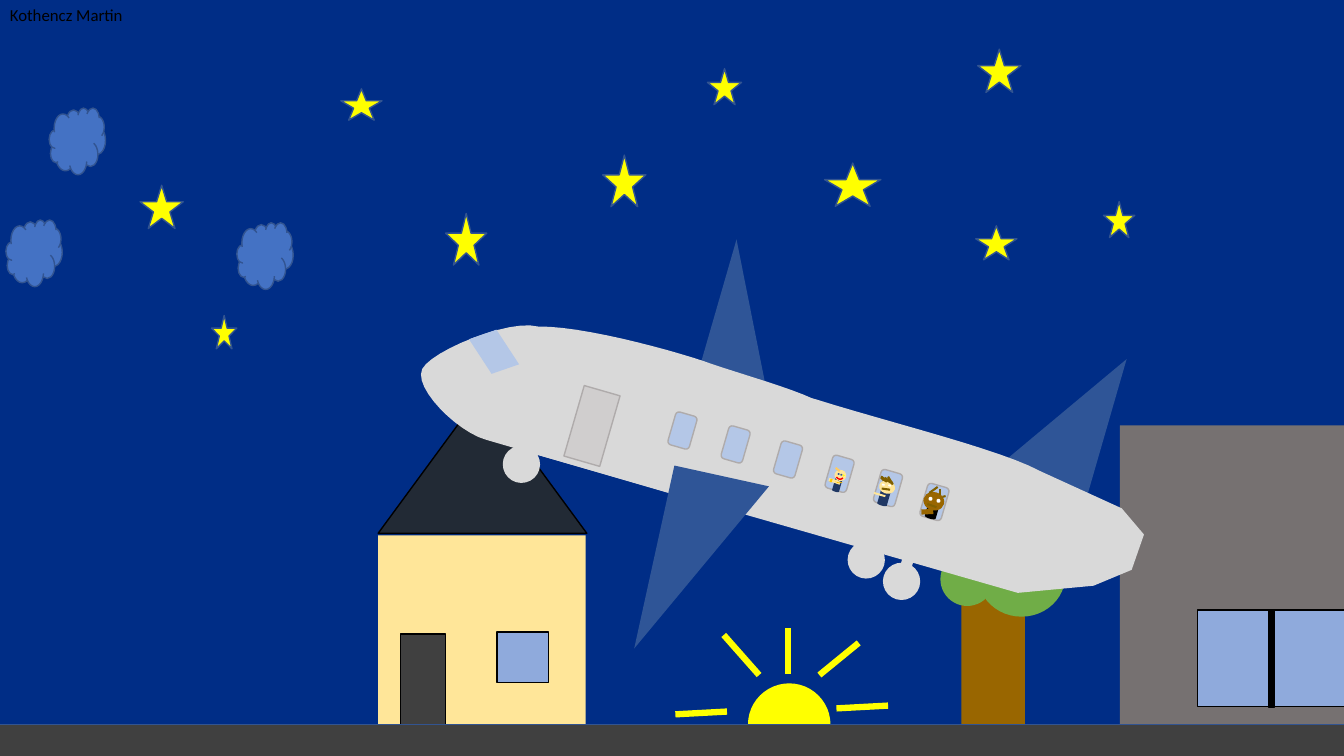
from dataclasses import dataclass
from lxml.etree import SubElement
from pptx import Presentation
from pptx.dml.color import RGBColor
from pptx.enum.shapes import MSO_CONNECTOR, MSO_SHAPE
from pptx.oxml.ns import qn
from pptx.util import Cm, Pt


@dataclass(frozen=True)
class Theme:
    font: str = "Calibri"
    text_size: float = 12
    outline: float = 1
    fine: float = 0.5
    hair: float = 1.5
    ray: float = 4.5
    sky: str = "002D86"
    black: str = "000000"
    white: str = "FFFFFF"
    yellow: str = "FFFF00"
    edge: str = "325491"
    cloud: str = "4472C4"
    concrete: str = "767171"
    glass: str = "8FAADC"
    trunk: str = "996600"
    leaf: str = "70AD47"
    plaster: str = "FFE699"
    asphalt: str = "404040"
    roof: str = "222A35"
    hull: str = "D9D9D9"
    wing: str = "2F5597"
    pane: str = "B4C7E7"
    door: str = "D0CECE"
    frame: str = "AFABAB"
    suit: str = "203864"
    skin: str = "FFE699"
    brown: str = "806000"
    blond: str = "FFCC66"
    gold: str = "FFC000"
    amber: str = "FFCC00"
    red: str = "FF0000"


T = Theme()
TILT = 16.1


def apply(obj, fmt):
    for name, value in fmt.items():
        setattr(obj, name, value)


def paint(sp, fill=None, line=None, width=T.outline):
    sp.shadow.inherit = False
    if fill:
        sp.fill.solid()
        sp.fill.fore_color.rgb = RGBColor.from_string(fill)
    else:
        sp.fill.background()
    if line:
        sp.line.color.rgb = RGBColor.from_string(line)
        sp.line.width = Pt(width)
    else:
        sp.line.fill.background()


def shape(s, box, kind, at, fill=None, line=None, width=T.outline, rot=0, flip=None):
    x, y, w, h = at
    sp = s.shapes.add_shape(getattr(MSO_SHAPE, kind), Cm(box[0] + x), Cm(box[1] + y), Cm(w), Cm(h))
    paint(sp, fill, line, width)
    sp.rotation = rot
    if flip:
        sp._element.spPr.find(qn("a:xfrm")).set(flip, "1")


def stroke(s, box, ends, color, width):
    x, y = box[:2]
    x1, y1, x2, y2 = ends
    cx = s.shapes.add_connector(
        MSO_CONNECTOR.STRAIGHT, Cm(x + x1), Cm(y + y1), Cm(x + x2), Cm(y + y2))
    cx.line.color.rgb = RGBColor.from_string(color)
    cx.line.width = Pt(width)
    SubElement(cx._element.spPr, qn("a:effectLst"))


def outline(s, box, start, segments, closed=True, **look):
    points, last = [], start
    for seg in segments:
        if len(seg) == 2:
            points.append(seg)
        else:
            ctrl = (last, seg[:2], seg[2:4], seg[4:])
            for t in (i / 12 for i in range(1, 13)):
                weights = ((1 - t) ** 3, 3 * t * (1 - t) ** 2, 3 * t * t * (1 - t), t ** 3)
                points.append(tuple(sum(k * c[a] for k, c in zip(weights, ctrl)) for a in (0, 1)))
        last = seg[-2:]
    place = lambda p: (Cm(box[0] + p[0]), Cm(box[1] + p[1]))
    fb = s.shapes.build_freeform(*place(start))
    fb.add_line_segments([place(p) for p in points], close=closed)
    paint(fb.convert_to_shape(), **look)


def author(s, box):
    tb = s.shapes.add_textbox(*(Cm(v) for v in box))
    tf = tb.text_frame
    tf.word_wrap = True
    r = tf.paragraphs[0].add_run()
    r.text = "Kothencz Martin"
    apply(r.font, {"name": T.font, "size": Pt(T.text_size)})
    r.font.color.rgb = RGBColor.from_string(T.black)


def night_sky(s, box):
    for at in ((3.53, 4.67, 1.09, 1.09), (8.59, 2.24, 1.04, 0.79), (15.19, 3.91, 1.09, 1.3),
               (20.78, 4.11, 1.42, 1.09), (17.83, 1.73, 0.86, 0.91), (24.64, 1.24, 1.09, 1.09),
               (24.59, 5.69, 1.04, 0.86), (11.23, 5.38, 1.04, 1.3), (27.81, 5.08, 0.79, 0.91),
               (5.33, 7.95, 0.64, 0.84)):
        shape(s, box, "STAR_5_POINT", at, T.yellow, T.edge)
    for x, y in ((0.15, 5.54), (1.24, 2.72), (5.97, 5.61)):
        shape(s, box, "CLOUD", (x, y, 1.42, 1.68), T.cloud, T.edge)


def terminal(s, box):
    shape(s, box, "RECTANGLE", (0, 0, *box[2:]), T.concrete)
    shape(s, box, "RECTANGLE", (1.96, 4.65, 3.78, 2.44), T.glass, T.black)
    shape(s, box, "RECTANGLE", (3.76, 4.67, 0.13, 2.44), T.black, T.black)


def tree(s, box):
    shape(s, box, "RECTANGLE", (0.53, 0.79, 1.6, 3.66), T.trunk)
    for crown in ((0, 0, 1.35, 1.35), (0.94, -0.46, 2.21, 2.08)):
        shape(s, box, "OVAL", crown, T.leaf)


def sun(s, box):
    shape(s, box, "OVAL", (1.83, 1.4, 2.08, 2.08), T.yellow)
    for ray in ((2.11, 1.19, 1.22, 0.18), (2.84, 1.17, 2.84, 0), (3.63, 1.19, 4.62, 0.38),
                (4.06, 2.03, 5.36, 1.96), (0, 2.18, 1.3, 2.11)):
        stroke(s, box, ray, T.yellow, T.ray)


def house(s, box):
    shape(s, box, "RECTANGLE", (0, 3.63, 5.23, 4.83), T.plaster)
    shape(s, box, "RECTANGLE", (3, 6.07, 1.3, 1.27), T.glass, T.black)
    shape(s, box, "RECTANGLE", (0.56, 6.12, 1.14, 2.31), T.asphalt, T.black)
    shape(s, box, "ISOSCELES_TRIANGLE", (0, 0, 5.26, 3.58), T.roof, T.black)


def ground(s, box):
    shape(s, box, "RECTANGLE", (0, 0, *box[2:]), T.asphalt, T.edge)


def plane(s, box):
    shape(s, box, "RIGHT_TRIANGLE", (15.34, 2.54, 2.44, 3.61), T.wing, rot=TILT, flip="flipH")
    shape(s, box, "RIGHT_TRIANGLE", (7.7, 0.18, 2.44, 4.72), T.wing, rot=TILT)
    outline(s, box, (3.99, 2.59), (
        (10.39, 3.96), (12.27, 4.55, 15.06, 5.23, 16.05, 5.77), (18.11, 6.71), (18.67, 7.37),
        (18.36, 8.26), (17.4, 8.66), (15.49, 8.84), (3.2, 5.31)), fill=T.hull)
    outline(s, box, (3.4, 2.13), (
        (4.47, 2.11, 6.58, 2.67, 7.57, 3), (8.53, 3.35, 10.62, 3.89, 10.74, 4.24),
        (10.03, 4.04, 8, 4.7, 7.62, 5.13), (7.26, 5.56, 7.82, 6.65, 8.53, 6.86), (2.08, 4.98),
        (1.37, 4.78, 0.25, 3.68, 0.48, 3.2), (0.71, 2.74, 2.69, 1.93, 3.4, 2.13)), fill=T.hull)
    shape(s, box, "RIGHT_TRIANGLE", (6.3, 5.84, 2.44, 4.72), T.wing, rot=12.4, flip="flipV")
    for x, y in ((2.29, 4.09), (11.81, 7.34), (10.95, 6.53)):
        shape(s, box, "MATH_MINUS", (x, y, 1.85, 1.22), T.hull, rot=TILT + 90)
    for x, y in ((2.51, 5.13), (12.09, 8.08), (11.2, 7.54)):
        shape(s, box, "OVAL", (x, y, 0.94, 0.94), T.hull, rot=TILT)
    shape(s, box, "PARALLELOGRAM", (1.68, 2.41, 1.22, 0.71), T.pane, rot=56.8)
    shape(s, box, "RECTANGLE", (4.29, 3.71, 0.94, 1.85), T.door, T.frame, rot=TILT)
    for x, y in ((6.76, 4.32), (8.1, 4.67), (9.42, 5.05), (10.72, 5.41), (11.94, 5.77), (13.11, 6.12)):
        shape(s, box, "ROUNDED_RECTANGLE", (x, y, 0.56, 0.86), T.pane, T.frame, rot=TILT)


def passenger(s, box, body, head, arm, eyes, hairs, suit=T.suit, suit_line=None,
              skin=T.skin, iris=T.white, arm_rot=TILT):
    shape(s, box, "CAN", body, suit, suit_line, rot=TILT)
    shape(s, box, "OVAL", head, skin, rot=TILT)
    shape(s, box, "RECTANGLE", arm, skin, rot=arm_rot)
    for eye in eyes:
        shape(s, box, "OVAL", eye, iris, rot=TILT)
    for color, *ends in hairs:
        stroke(s, box, ends, color, T.hair)


def blond_passenger(s, box):
    passenger(s, box, (0.13, 0.25, 0.18, 0.36), (0.15, 0.05, 0.3, 0.28), (0, 0.3, 0.3, 0.08),
              ((0.23, 0.13, 0.05, 0.05), (0.3, 0.15, 0.05, 0.05)),
              ((T.blond, 0.28, 0.08, 0.18, 0), (T.amber, 0.05, 0.36, 0.08, 0.28)),
              iris=T.wing, arm_rot=19.4)
    shape(s, box, "ARC", (0.15, 0.13, 0.25, 0.25), line=T.gold, width=T.fine, rot=146.3)
    shape(s, box, "STAR_4_POINT", (0.33, 0.15, 0.1, 0.08), T.yellow, rot=TILT)
    outline(s, box, (0.2, 0.23), ((0.24, 0.29, 0.32, 0.31, 0.36, 0.25),), closed=False, line=T.red)
    shape(s, box, "OVAL", (0.15, 0.3, 0.1, 0.05), T.skin, rot=19.2)


def bearded_passenger(s, box):
    passenger(s, box, (0.13, 0.33, 0.25, 0.41), (0.13, 0.1, 0.41, 0.33), (0, 0.43, 0.3, 0.05),
              ((0.2, 0.18, 0.08, 0.05), (0.36, 0.2, 0.08, 0.05)),
              [(T.brown, *ends) for ends in (
                  (0.28, 0.03, 0.46, 0.15), (0.33, 0.13, 0.18, 0.03), (0.18, 0, 0.48, 0.18),
                  (0.41, 0.33, 0.2, 0.3), (0.25, 0.1, 0.2, 0), (0.36, 0, 0.48, 0.2))])


def horned_passenger(s, box):
    passenger(s, box, (0.13, 0.51, 0.25, 0.28), (0.05, 0.13, 0.53, 0.46), (0, 0.56, 0.3, 0.13),
              ((0.18, 0.25, 0.1, 0.1), (0.38, 0.3, 0.1, 0.1)),
              [(T.brown, *ends) for ends in (
                  (0.48, 0.05, 0.48, 0.2), (0.2, 0.15, 0.41, 0),
                  (0.61, 0.23, 0.53, 0.25), (0.38, 0.51, 0.15, 0.43))],
              suit=T.black, suit_line=T.black, skin=T.trunk, arm_rot=357.1)


def main():
    prs = Presentation()
    apply(prs, {"slide_width": Cm(33.87), "slide_height": Cm(19.05)})
    s = prs.slides.add_slide(prs.slide_layouts[6])
    s.background.fill.solid()
    s.background.fill.fore_color.rgb = RGBColor.from_string(T.sky)
    for draw, box in (
            (author, (0, 0, 5.72, 0.76)), (night_sky, (0, 0, 33.87, 9)),
            (terminal, (28.22, 10.72, 19.38, 7.62)), (tree, (23.7, 13.92, 3.15, 4.45)),
            (sun, (17.02, 15.82, 5.36, 3.48)), (house, (9.53, 9.86, 5.26, 8.46)),
            (ground, (-1.42, 18.26, 37.62, 5.33)), (plane, (10.16, 6.1, 18.7, 10.6)),
            (blond_passenger, (20.88, 11.79, 0.45, 0.61)),
            (bearded_passenger, (22.02, 12.01, 0.54, 0.74)),
            (horned_passenger, (23.22, 12.27, 0.61, 0.79))):
        draw(s, box)
    prs.save("out.pptx")


if __name__ == "__main__":
    main()
